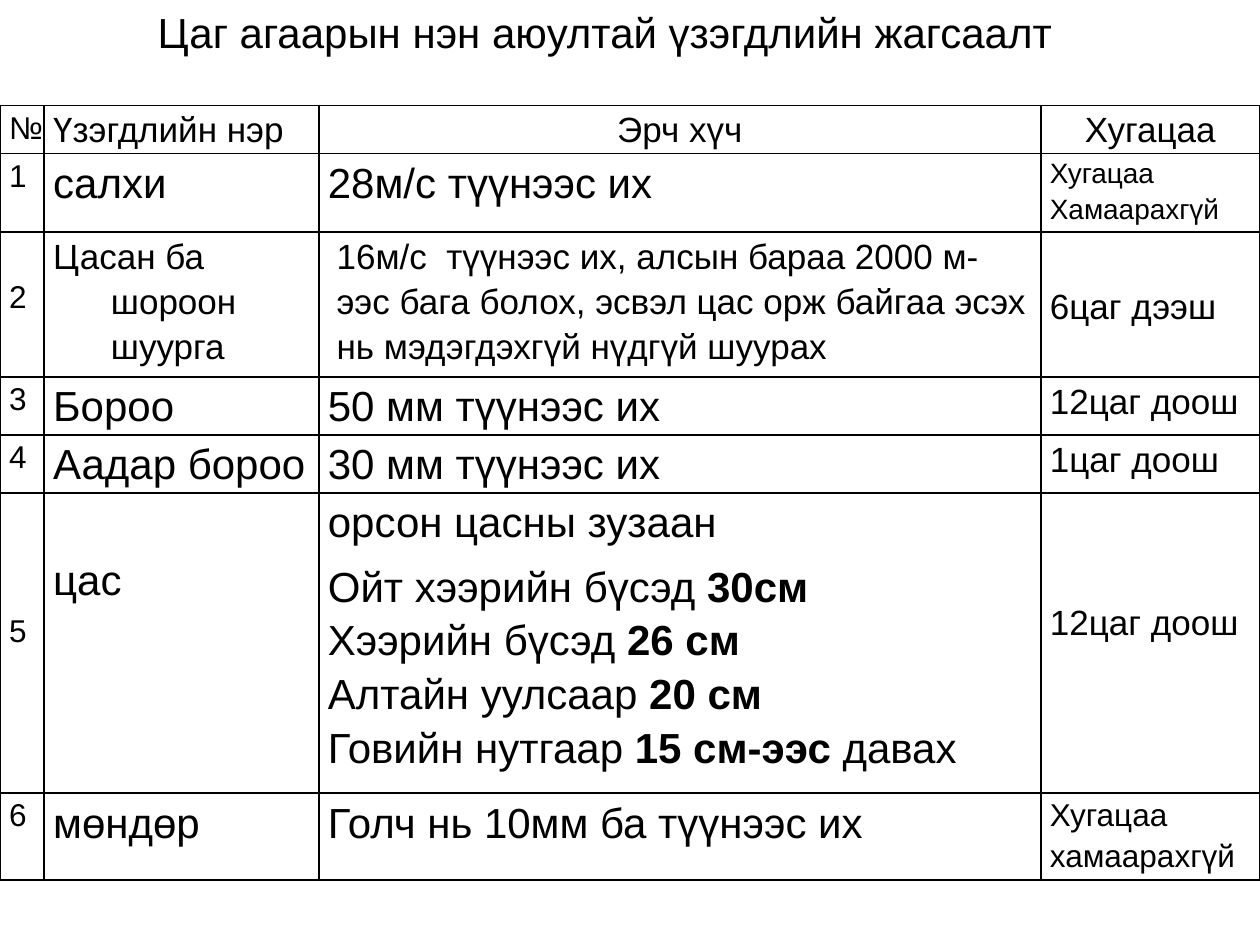
from lxml.etree import SubElement
from pptx import Presentation
from pptx.dml.color import RGBColor
from pptx.enum.text import MSO_ANCHOR as Anchor, MSO_AUTO_SIZE as AutoSize, PP_ALIGN as Align
from pptx.oxml.ns import qn
from pptx.util import Pt

BLACK = RGBColor(0, 0, 0)
WHITE = RGBColor(255, 255, 255)
FONT = "Arial"

TITLE = "Цаг агаарын нэн аюултай үзэгдлийн жагсаалт"
COL_WIDTHS = [25.2, 157, 412.6, 125.2]
ROW_HEIGHTS = [27.4, 44.6, 82.9, 33.1, 33.1, 171.4, 49.7]

SNOW_DEPTHS = "\n".join([
    "орсон цасны зузаан",
    "Ойт хээрийн бүсэд **30см**",
    "Хээрийн бүсэд **26 см**",
    "Алтайн уулсаар **20 см**",
    "Говийн нутгаар **15 см-ээс **давах",
])
STORM = ("16м/с  түүнээс их, алсын бараа 2000 м-ээс бага болох, "
         "эсвэл цас орж байгаа эсэх нь мэдэгдэхгүй нүдгүй шуурах")

# Each cell: text, size, further format; ** switches bold on and off
ROWS = [
    [("№", 18, {}),
     ("Үзэгдлийн нэр", 20, {}),
     ("Эрч хүч", 20, {"align": Align.CENTER}),
     ("Хугацаа", 20, {"align": Align.CENTER, "left": 0, "indent": 0})],
    [("1", 18, {}),
     ("салхи", 24, {"after": 6}),
     ("28м/с түүнээс их", 24, {"after": 6}),
     ("Хугацаа\nХамаарахгүй", 16, {})],
    [("2", 18, {"top": 24.5}),
     ("Цасан ба шороон шуурга", 20, {"after": 6}),
     (STORM, 20, {"left": 5, "indent": 0}),
     ("6цаг дээш", 20, {"top": 28.5})],
    [("3", 18, {}),
     ("Бороо", 24, {}),
     ("50 мм түүнээс их", 24, {}),
     ("12цаг доош", 20, {})],
    [("4", 18, {}),
     ("Аадар бороо", 24, {}),
     ("30 мм түүнээс их", 24, {}),
     ("1цаг доош", 20, {})],
    [("5", 18, {"top": 66}),
     ("цас", 24, {"top": 33}),
     (SNOW_DEPTHS, 24, {"after": 6}),
     ("12цаг доош", 20, {"top": 60})],
    [("6", 18, {}),
     ("мөндөр", 24, {}),
     ("Голч нь 10мм ба түүнээс их", 24, {}),
     ("Хугацаа хамаарахгүй", 18, {"left": 0, "indent": 0})],
]


def add_text(tf, text, size, align=Align.LEFT, left=0, indent=0, spacing=1.0, after=0):
    """Fill a text frame, one paragraph a line; after follows the first one."""
    for i, line in enumerate(text.split("\n")):
        p = tf.add_paragraph() if i else tf.paragraphs[0]
        p.alignment = align
        p.line_spacing = spacing
        p.space_before = Pt(0)
        p.space_after = Pt(0 if i else after)
        pPr = p._p.get_or_add_pPr()
        pPr.set("marL", str(Pt(left)))
        pPr.set("indent", str(Pt(indent)))
        for j, part in enumerate(line.split("**")):
            if part:
                r = p.add_run()
                r.text = part
                r.font.name = FONT
                r.font.size = Pt(size)
                r.font.bold = j % 2 == 1
                r.font.color.rgb = BLACK


def set_borders(cell):
    tcPr = cell._tc.get_or_add_tcPr()
    for i, side in enumerate(("a:lnL", "a:lnR", "a:lnT", "a:lnB")):
        ln = SubElement(tcPr, qn(side), w=str(Pt(1)))
        fill = SubElement(ln, qn("a:solidFill"))
        SubElement(fill, qn("a:srgbClr"), val=str(BLACK))
        # Lines come before the fill in the cell properties
        tcPr.insert(i, ln)


def fill_cell(cell, text, size, top=0, left=33, indent=-36, **fmt):
    cell.margin_left = cell.margin_right = Pt(5.2)
    cell.margin_top, cell.margin_bottom = Pt(top), Pt(0)
    cell.vertical_anchor = Anchor.TOP
    cell.fill.solid()
    cell.fill.fore_color.rgb = WHITE
    set_borders(cell)
    add_text(cell.text_frame, text, size, left=left, indent=indent, spacing=1.15, **fmt)


def add_title(s):
    sp = s.shapes.title
    sp.left, sp.top, sp.width, sp.height = Pt(76.3), Pt(0), Pt(538.6), Pt(36)
    tf = sp.text_frame
    tf.word_wrap = True
    tf.auto_size = AutoSize.SHAPE_TO_FIT_TEXT
    tf.vertical_anchor = Anchor.TOP
    add_text(tf, TITLE, 24, align=Align.CENTER)


def add_hazard_table(s):
    frame = s.shapes.add_table(len(ROWS), len(COL_WIDTHS), Pt(0), Pt(60.2),
                               Pt(sum(COL_WIDTHS)), Pt(sum(ROW_HEIGHTS)))
    table = frame.table
    table.first_row = table.horz_banding = False
    for col, width in zip(table.columns, COL_WIDTHS):
        col.width = Pt(width)
    for row, height, cells in zip(table.rows, ROW_HEIGHTS, ROWS):
        row.height = Pt(height)
        for cell, (text, size, fmt) in zip(row.cells, cells):
            fill_cell(cell, text, size, **fmt)


def main():
    prs = Presentation()
    prs.slide_width, prs.slide_height = Pt(720), Pt(540)
    s = prs.slides.add_slide(prs.slide_layouts[5])
    add_title(s)
    add_hazard_table(s)
    prs.save("out.pptx")


if __name__ == "__main__":
    main()
